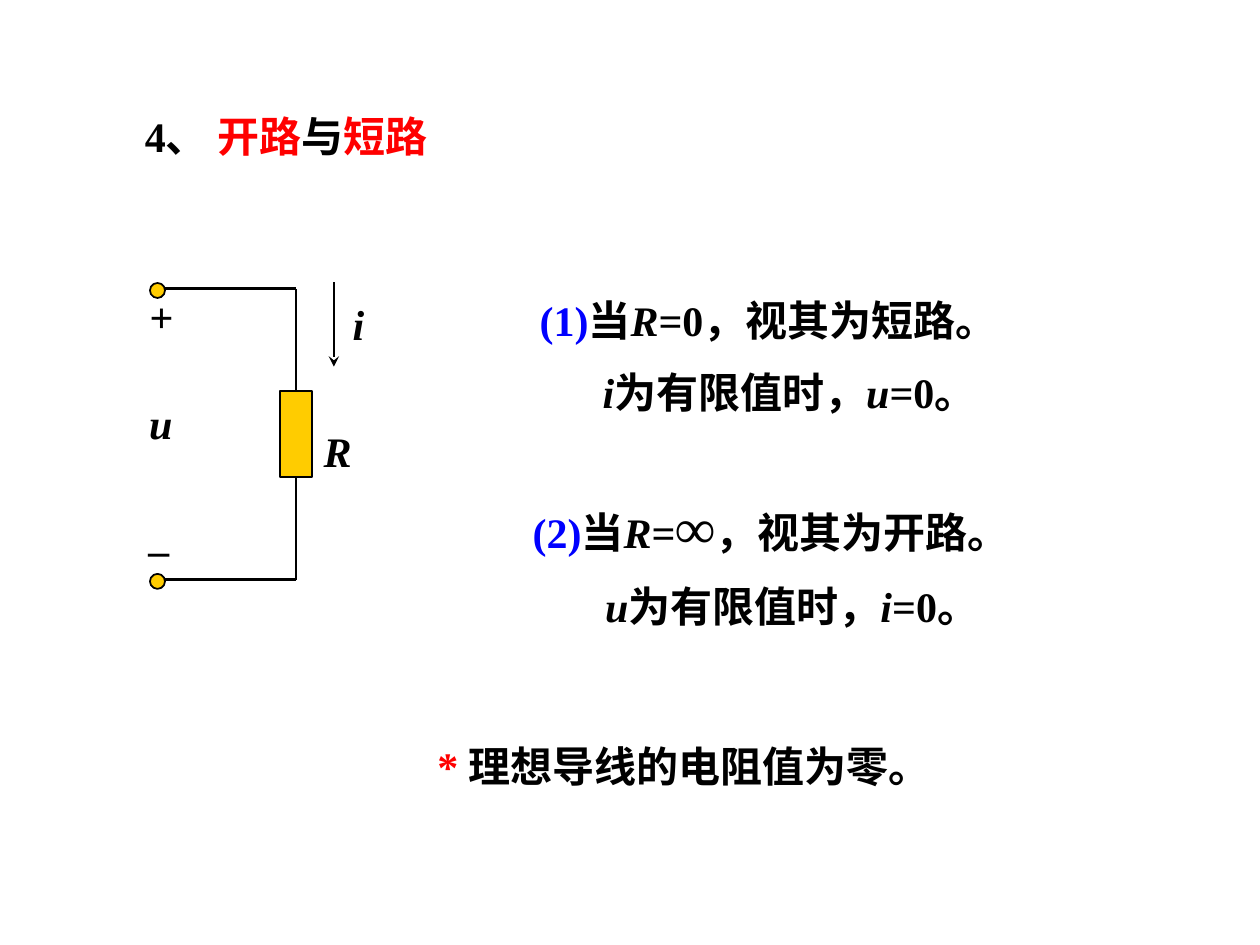
from lxml import etree
from pptx import Presentation
from pptx.dml.color import RGBColor
from pptx.enum.shapes import MSO_CONNECTOR, MSO_SHAPE
from pptx.enum.text import MSO_ANCHOR, MSO_AUTO_SIZE, PP_ALIGN
from pptx.oxml.ns import qn
from pptx.util import Pt

STRAIGHT = MSO_CONNECTOR.STRAIGHT
RECTANGLE, OVAL = MSO_SHAPE.RECTANGLE, MSO_SHAPE.OVAL
MIDDLE, CENTER = MSO_ANCHOR.MIDDLE, PP_ALIGN.CENTER
FIT_SHAPE = MSO_AUTO_SIZE.SHAPE_TO_FIT_TEXT

BLACK = RGBColor(0x00, 0x00, 0x00)
RED = RGBColor(0xFF, 0x00, 0x00)
BLUE = RGBColor(0x00, 0x00, 0xFF)
GOLD = RGBColor(0xFF, 0xCC, 0x00)

presentation = Presentation()
presentation.slide_width, presentation.slide_height = Pt(720), Pt(540)
slide = presentation.slides.add_slide(presentation.slide_layouts[6])


def add_text(left, top, width, height, paragraphs, wrap=True):
    """Add a centred box; each paragraph lists (text, colour, italic, size) runs."""
    box = slide.shapes.add_textbox(Pt(left), Pt(top), Pt(width), Pt(height))
    frame = box.text_frame
    frame.word_wrap = wrap
    frame.auto_size = FIT_SHAPE
    frame.vertical_anchor = MIDDLE
    for index, runs in enumerate(paragraphs):
        paragraph = frame.add_paragraph() if index else frame.paragraphs[0]
        paragraph.alignment = CENTER
        if index:
            paragraph.space_before = Pt(12)
            paragraph._p.get_or_add_pPr().set("marL", str(Pt(24)))
        for text, color, italic, size in runs:
            run = paragraph.add_run()
            run.text = text
            run.font.name = "Times New Roman"
            run.font.size = Pt(size)
            run.font.bold = True
            run.font.italic = italic
            run.font.color.rgb = color
    return box


def add_line(x1, y1, x2, y2):
    line = slide.shapes.add_connector(STRAIGHT, Pt(x1), Pt(y1), Pt(x2), Pt(y2))
    line.line.color.rgb = BLACK
    line.line.width = Pt(1.5)
    etree.SubElement(line._element.spPr, qn("a:effectLst"))
    return line


# Circuit: terminals on the left, resistor on the right
terminal_x, wire_x = 90, 169.2
wire_top, wire_bottom = 165, 331.2
resistor_top, resistor_bottom = 223.6, 272.6
radius = 4.3

add_line(wire_x, resistor_top, wire_x, wire_top)
add_line(wire_x, resistor_bottom, wire_x, wire_bottom)
for y in (wire_top, wire_bottom):
    add_line(wire_x, y, terminal_x + radius, y)

parts = [
    (RECTANGLE, wire_x - 9, resistor_top, 18, resistor_bottom - resistor_top),
    (OVAL, terminal_x - radius, wire_top + 1 - radius, 2 * radius, 2 * radius),
    (OVAL, terminal_x - radius, wire_bottom + 1 - radius, 2 * radius, 2 * radius),
]
for kind, *bounds in parts:
    part = slide.shapes.add_shape(kind, *map(Pt, bounds))
    part.shadow.inherit = False
    part.fill.solid()
    part.fill.fore_color.rgb = GOLD
    part.line.color.rgb = BLACK
    part.line.width = Pt(1)

current_arrow = add_line(190.8, 161.3, 190.8, 209.5)
etree.SubElement(current_arrow.line._get_or_add_ln(), qn("a:tailEnd"), type="stealth")

circuit_labels = [
    ("R", 177.8, 239.8, 29.5, 0),
    ("i", 194.4, 167, 20.9, 0),
    ("u", 77.8, 223.9, 28.1, 0),
    ("+", 79.9, 164.2, 28.1, 90),
    ("–", 77.8, 295.9, 25.9, 0),
]
for text, left, top, width, rotation in circuit_labels:
    label = add_text(left, top, width, 35.6, [[(text, BLACK, True, 24)]], wrap=False)
    label.rotation = rotation

# Heading, the two cases and the remark
add_text(35.3, 59.8, 256.3, 36, [[
    ("4、 ", BLACK, False, 24),
    ("开路", RED, False, 24),
    ("与", BLACK, False, 24),
    ("短路", RED, False, 24),
]])

cases = [
    (163.4, 295.2, 79.9, "(1)", [("=0，视其为短路。", 24)], "i", "u"),
    (276.5, 298.1, 89.3, "(2)", [("=", 24), ("∞", 32), ("，视其为开路。", 24)], "u", "i"),
]
for top, width, height, number, condition, finite, zero in cases:
    add_text(291.6, top, width, height, [
        [
            (number, BLUE, False, 24),
            ("当", BLACK, False, 24),
            ("R", BLACK, True, 24),
            *[(text, BLACK, False, size) for text, size in condition],
        ],
        [
            (finite, BLACK, True, 24),
            ("为有限值时，", BLACK, False, 24),
            (zero, BLACK, True, 24),
            ("=0。", BLACK, False, 24),
        ],
    ])

add_text(228.2, 419.8, 325.4, 35.3, [[
    ("* ", RED, False, 24),
    ("理想导线的电阻值为零。", BLACK, False, 24),
]])

presentation.save("out.pptx")
